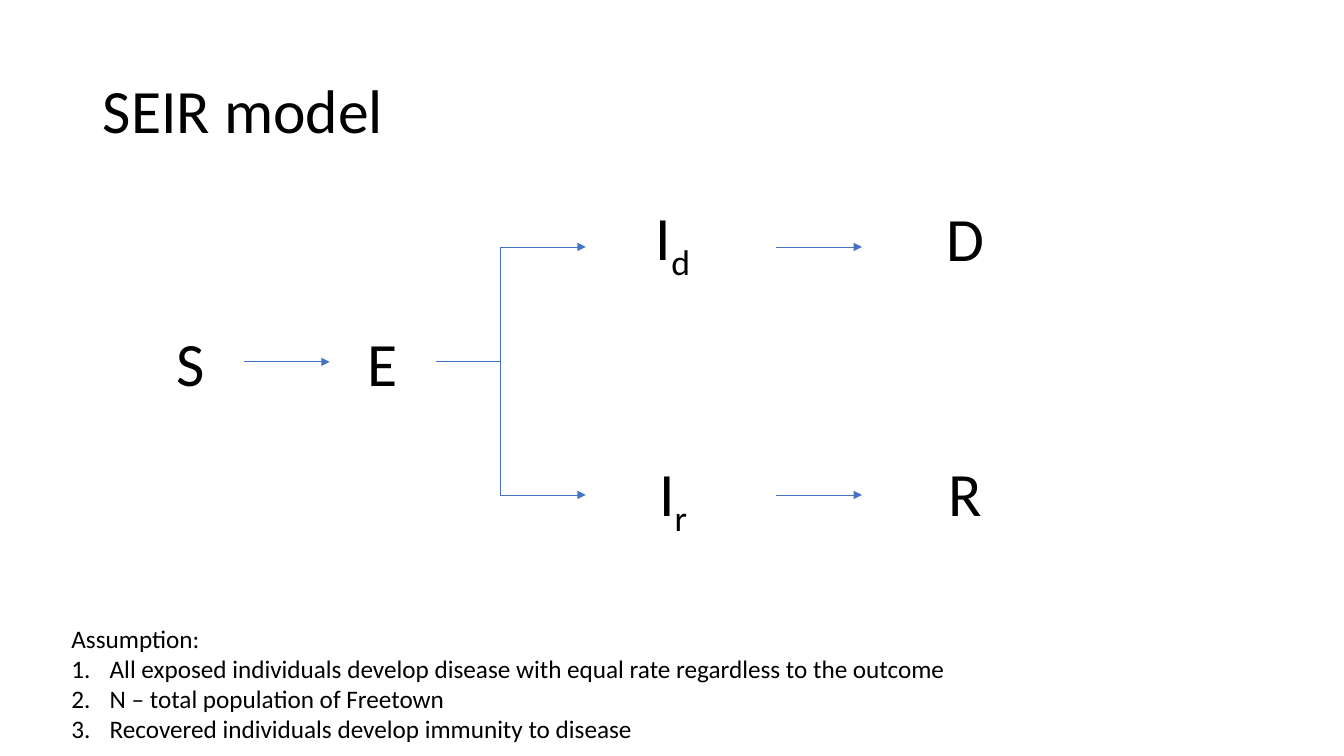
from pptx import Presentation
from pptx.dml.color import RGBColor
from pptx.enum.shapes import MSO_CONNECTOR
from pptx.enum.text import MSO_ANCHOR, MSO_AUTO_SIZE as AutoSize, PP_ALIGN as Align
from pptx.oxml.ns import qn
from pptx.util import Inches, Pt
from lxml.etree import SubElement

BLACK = RGBColor(0x00, 0x00, 0x00)
BLUE = RGBColor(0x44, 0x72, 0xC4)
FONT = "Calibri"

RIGHT_SIDE, LEFT_SIDE = 3, 1
STATE_WIDTH, STATE_HEIGHT = 1.05, 0.84
ARROW_LENGTH = 0.85
MIDDLE_Y, DEATH_Y, RECOVERY_Y = 3.59, 2.45, 4.91
FORK_X, OUTCOME_X = 4.96, 7.7

ASSUMPTIONS = [
    "All exposed individuals develop disease with equal rate regardless to the outcome",
    "N – total population of Freetown",
    "Recovered individuals develop immunity to disease",
]


def write(paragraph, text, size=44, align=Align.LEFT, subscript=False):
    paragraph.alignment = align
    run = paragraph.add_run()
    run.text = text
    run.font.name = FONT
    run.font.size = Pt(size)
    run.font.color.rgb = BLACK
    if subscript:
        run.font._element.set("baseline", "-25000")


class ModelSlide:
    def __init__(self, presentation):
        self.slide = presentation.slides.add_slide(presentation.slide_layouts[5])
        self.shapes = self.slide.shapes

    def title(self, text, left, top, width, height):
        heading = self.shapes.title
        heading.left, heading.top = Inches(left), Inches(top)
        heading.width, heading.height = Inches(width), Inches(height)
        frame = heading.text_frame
        frame.auto_size = AutoSize.NONE
        frame.vertical_anchor = MSO_ANCHOR.MIDDLE
        frame.paragraphs[0].line_spacing = 0.9
        write(frame.paragraphs[0], text)

    def text_box(self, left, top, width, height, wrap=True):
        box = self.shapes.add_textbox(
            Inches(left), Inches(top), Inches(width), Inches(height))
        box.text_frame.word_wrap = wrap
        box.text_frame.auto_size = AutoSize.SHAPE_TO_FIT_TEXT
        return box

    def state(self, letter, left, top, subscript=""):
        box = self.text_box(left, top, STATE_WIDTH, STATE_HEIGHT)
        paragraph = box.text_frame.paragraphs[0]
        write(paragraph, letter, align=Align.CENTER)
        if subscript:
            write(paragraph, subscript, align=Align.CENTER, subscript=True)
        return box

    def line(self, start, end, arrow=False, source=None, target=None):
        link = self.shapes.add_connector(
            MSO_CONNECTOR.STRAIGHT, *(Inches(value) for value in (*start, *end)))
        if source is not None:
            link.begin_connect(source, RIGHT_SIDE)
        if target is not None:
            link.end_connect(target, LEFT_SIDE)
        link.line.color.rgb = BLUE
        link.line.width = Pt(0.5)
        if arrow:
            SubElement(link.line._get_or_add_ln(), qn("a:tailEnd"), type="triangle")
        SubElement(link._element.spPr, qn("a:effectLst"))

    def numbered_notes(self, heading, items, left, top, width, height):
        frame = self.text_box(left, top, width, height, wrap=False).text_frame
        write(frame.paragraphs[0], heading, size=18)
        for item in items:
            paragraph = frame.add_paragraph()
            properties = paragraph._p.get_or_add_pPr()
            properties.set("marL", str(Inches(0.38)))
            properties.set("indent", str(Inches(-0.38)))
            SubElement(properties, qn("a:buFont"), typeface="+mj-lt")
            SubElement(properties, qn("a:buAutoNum"), type="arabicPeriod")
            write(paragraph, item, size=18)


def main():
    presentation = Presentation()
    presentation.slide_width = Inches(13.33)
    presentation.slide_height = Inches(7.5)
    model = ModelSlide(presentation)

    model.title("SEIR model", 0.92, 0.4, 11.5, 1.45)
    susceptible = model.state("S", 1.37, 3.17)
    exposed = model.state("E", 3.27, 3.17)
    model.state("I", 6.15, 1.92, subscript="d")
    model.state("I", 6.15, 4.46, subscript="r")
    model.state("R", 9.05, 4.46)
    model.state("D", 9.05, 1.93)

    model.line((2.42, MIDDLE_Y), (3.27, MIDDLE_Y), arrow=True,
               source=susceptible, target=exposed)
    for start_x in (FORK_X, OUTCOME_X):
        for y in (DEATH_Y, RECOVERY_Y):
            model.line((start_x, y), (start_x + ARROW_LENGTH, y), arrow=True)
    model.line((FORK_X, DEATH_Y), (FORK_X, RECOVERY_Y))
    model.line((4.32, MIDDLE_Y), (FORK_X, MIDDLE_Y), source=exposed)

    model.numbered_notes("Assumption:", ASSUMPTIONS, 0.61, 6.13, 8.96, 1.31)
    presentation.save("out.pptx")


if __name__ == "__main__":
    main()
